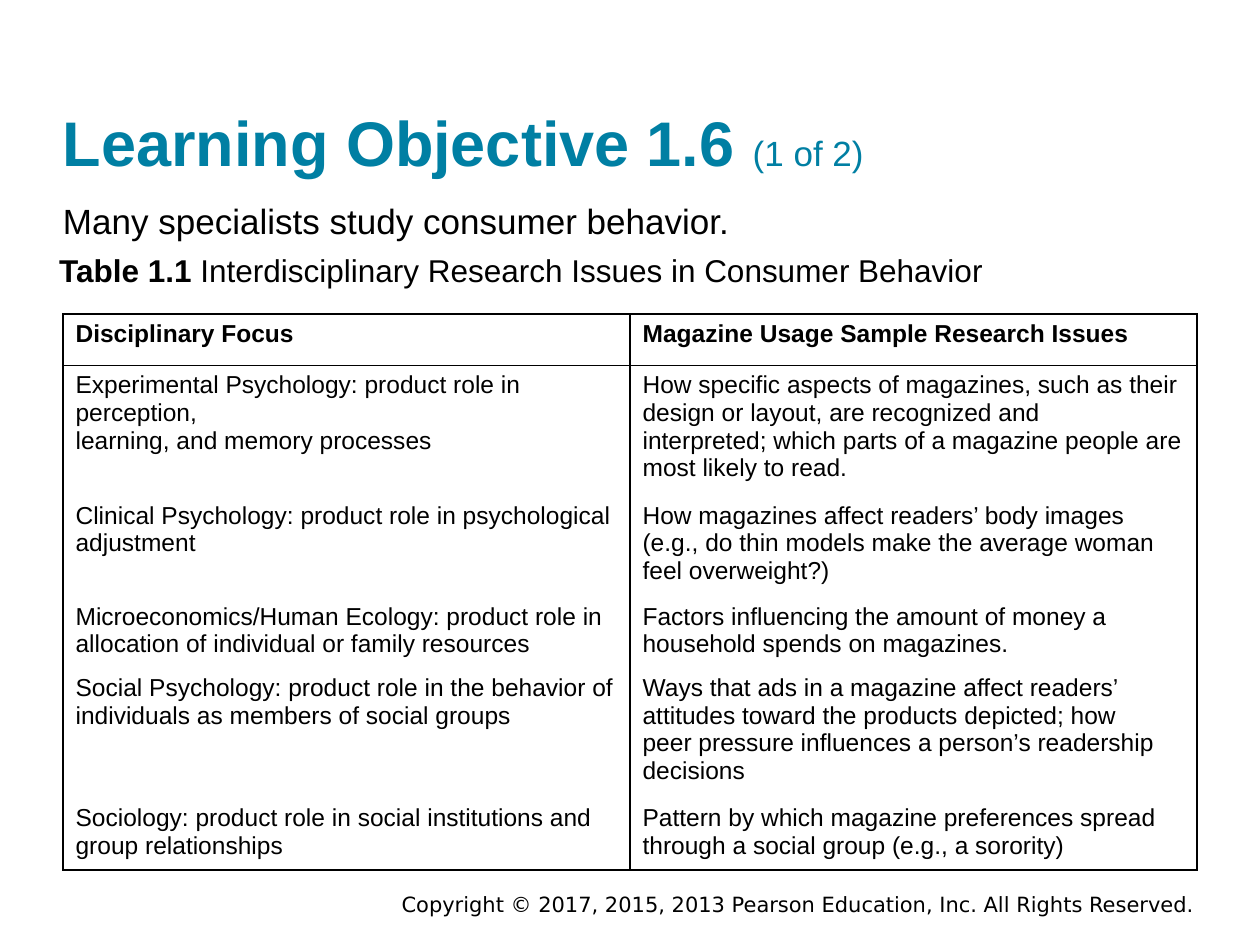
from dataclasses import dataclass

import pptx
import pptx.dml.color
import pptx.enum.text
import pptx.oxml
import pptx.oxml.ns
import pptx.util
from lxml import etree

Inches = pptx.util.Inches
Pt = pptx.util.Pt


@dataclass(frozen=True)
class Theme:
    font: str = "Arial"
    footer_font: str = "DejaVu Sans"
    accent: str = "007FA3"
    ink: str = "000000"
    title_size: int = 36
    body_size: int = 20
    caption_size: int = 18
    table_size: int = 14
    footer_size: int = 12
    border_width: int = 1


THEME = Theme()

HEADERS = ["Disciplinary Focus", "Magazine Usage Sample Research Issues"]
ISSUES = [
    (
        ["Experimental Psychology: product role in perception,",
         "learning, and memory processes"],
        ["How specific aspects of magazines, such as their design or layout, are recognized and",
         "interpreted; which parts of a magazine people are most likely to read."],
    ),
    (
        ["Clinical Psychology: product role in psychological",
         "adjustment"],
        ["How magazines affect readers’ body images (e.g., do thin models make the average woman",
         "feel overweight?)"],
    ),
    (
        ["Microeconomics/Human Ecology: product role in",
         "allocation of individual or family resources"],
        ["Factors influencing the amount of money a household spends on magazines."],
    ),
    (
        ["Social Psychology: product role in the behavior of",
         "individuals as members of social groups"],
        ["Ways that ads in a magazine affect readers’ attitudes toward the products depicted; how",
         "peer pressure influences a person’s readership decisions"],
    ),
    (
        ["Sociology: product role in social institutions and",
         "group relationships"],
        ["Pattern by which magazine preferences spread through a social group (e.g., a sorority)"],
    ),
]


def add_run(paragraph, text, size, color=THEME.ink, bold=False, font=THEME.font):
    run = paragraph.add_run()
    run.text = text
    run.font.name = font
    run.font.size = Pt(size)
    run.font.bold = bold
    run.font.color.rgb = pptx.dml.color.RGBColor.from_string(color)


def add_text_box(slide, box, margin=0):
    frame = slide.shapes.add_textbox(*map(Inches, box)).text_frame
    frame.word_wrap = True
    frame.margin_left = frame.margin_right = Inches(margin)
    frame.margin_top = frame.margin_bottom = Inches(margin / 2)
    return frame


def add_title(slide, box):
    frame = add_text_box(slide, box)
    frame.vertical_anchor = pptx.enum.text.MSO_ANCHOR.BOTTOM
    paragraph = frame.paragraphs[0]
    add_run(paragraph, "Learning Objective 1.6 ", THEME.title_size, THEME.accent, bold=True)
    add_run(paragraph, "(1 of 2)", THEME.body_size, THEME.accent)


def add_statement(slide, box):
    paragraph = add_text_box(slide, box).paragraphs[0]
    add_run(paragraph, "Many specialists study consumer behavior.", THEME.body_size)


def add_caption(slide, box):
    paragraph = add_text_box(slide, box).paragraphs[0]
    add_run(paragraph, "Table 1.1 ", THEME.caption_size, bold=True)
    add_run(paragraph, "Interdisciplinary Research Issues in Consumer Behavior",
            THEME.caption_size)


def add_footer(slide, box):
    paragraph = add_text_box(slide, box, margin=0.1).paragraphs[0]
    paragraph.alignment = pptx.enum.text.PP_ALIGN.RIGHT
    add_run(paragraph,
            "Copyright © 2017, 2015, 2013 Pearson Education, Inc. All Rights Reserved.",
            THEME.footer_size, font=THEME.footer_font)


def set_borders(cell, visible_sides):
    qn = pptx.oxml.ns.qn
    properties = cell._tc.get_or_add_tcPr()
    for side in "LRTB":
        line = etree.SubElement(properties, qn(f"a:ln{side}"), w=str(Pt(THEME.border_width)))
        if side in visible_sides:
            fill = etree.SubElement(line, qn("a:solidFill"))
            etree.SubElement(fill, qn("a:srgbClr"), val=THEME.ink)
        else:
            etree.SubElement(line, qn("a:noFill"))


def fill_cell(cell, lines, sides, bold):
    set_borders(cell, sides)
    cell.fill.background()
    frame = cell.text_frame
    for index, text in enumerate(lines):
        paragraph = frame.add_paragraph() if index else frame.paragraphs[0]
        add_run(paragraph, text, THEME.table_size, bold=bold)


def add_issue_table(slide, box, row_height):
    rows = [[[header] for header in HEADERS], *ISSUES]
    left, top, width = box
    table = slide.shapes.add_table(
        len(rows), len(HEADERS), Inches(left), Inches(top),
        Inches(width), Inches(row_height * len(rows)),
    ).table
    table.first_row = True
    table.horz_banding = False
    row_sides = {0: "LRTB", 1: "LRT", len(rows) - 1: "LRB"}
    for row_index, row in enumerate(rows):
        for column_index, lines in enumerate(row):
            fill_cell(table.cell(row_index, column_index), lines,
                      row_sides.get(row_index, "LR"), bold=row_index == 0)


def main():
    presentation = pptx.Presentation()
    presentation.slide_width = Inches(10)
    presentation.slide_height = Inches(7.5)
    slide = presentation.slides.add_slide(presentation.slide_layouts[6])
    add_footer(slide, (1.75, 7.03, 7.83, 0.3))
    add_title(slide, (0.5, 0.22, 9, 1.2))
    add_statement(slide, (0.5, 1.58, 9, 0.33))
    add_caption(slide, (0.47, 1.99, 9.03, 0.31))
    add_issue_table(slide, (0.5, 2.49, 9), row_height=0.41)
    presentation.save("out.pptx")


if __name__ == "__main__":
    main()
